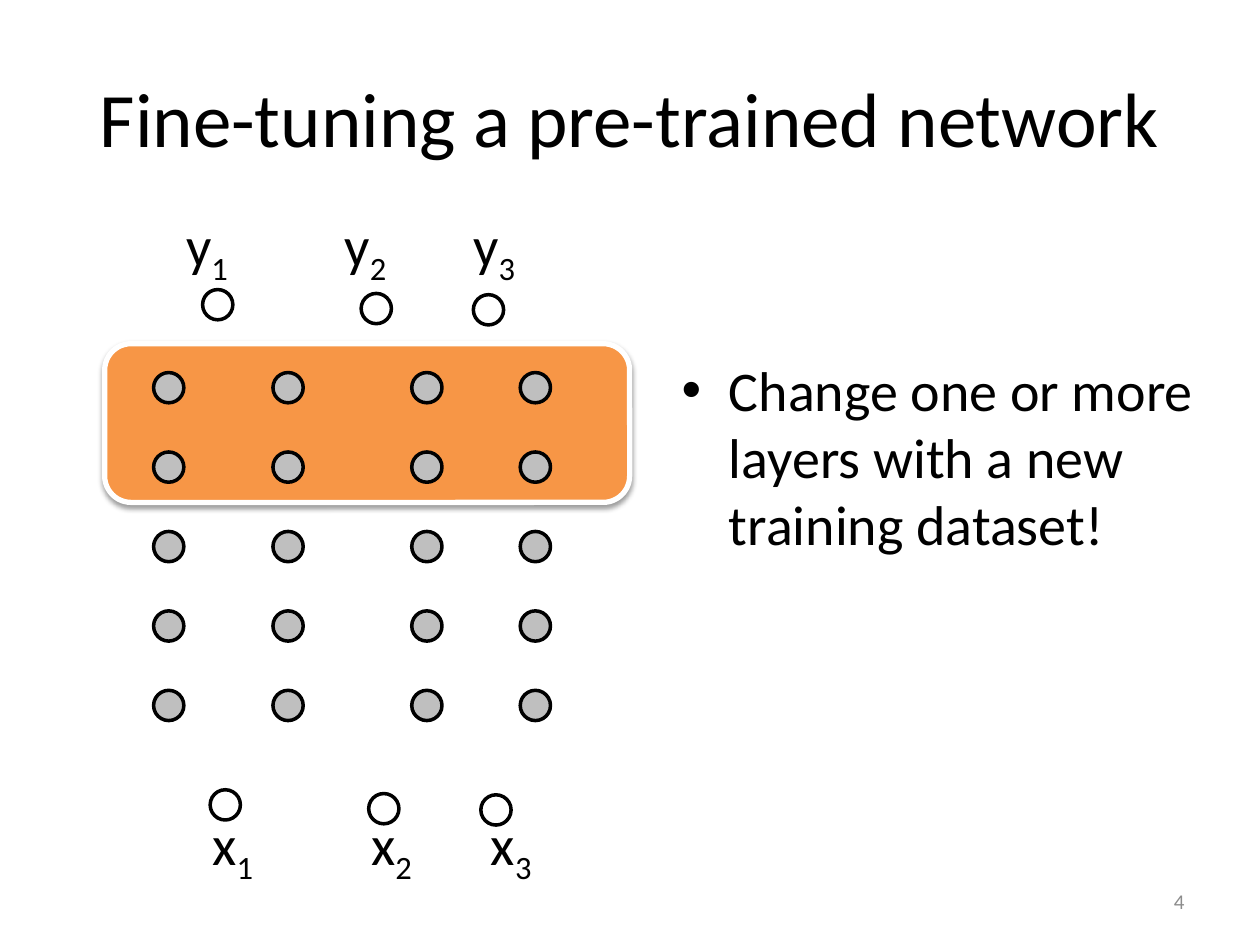
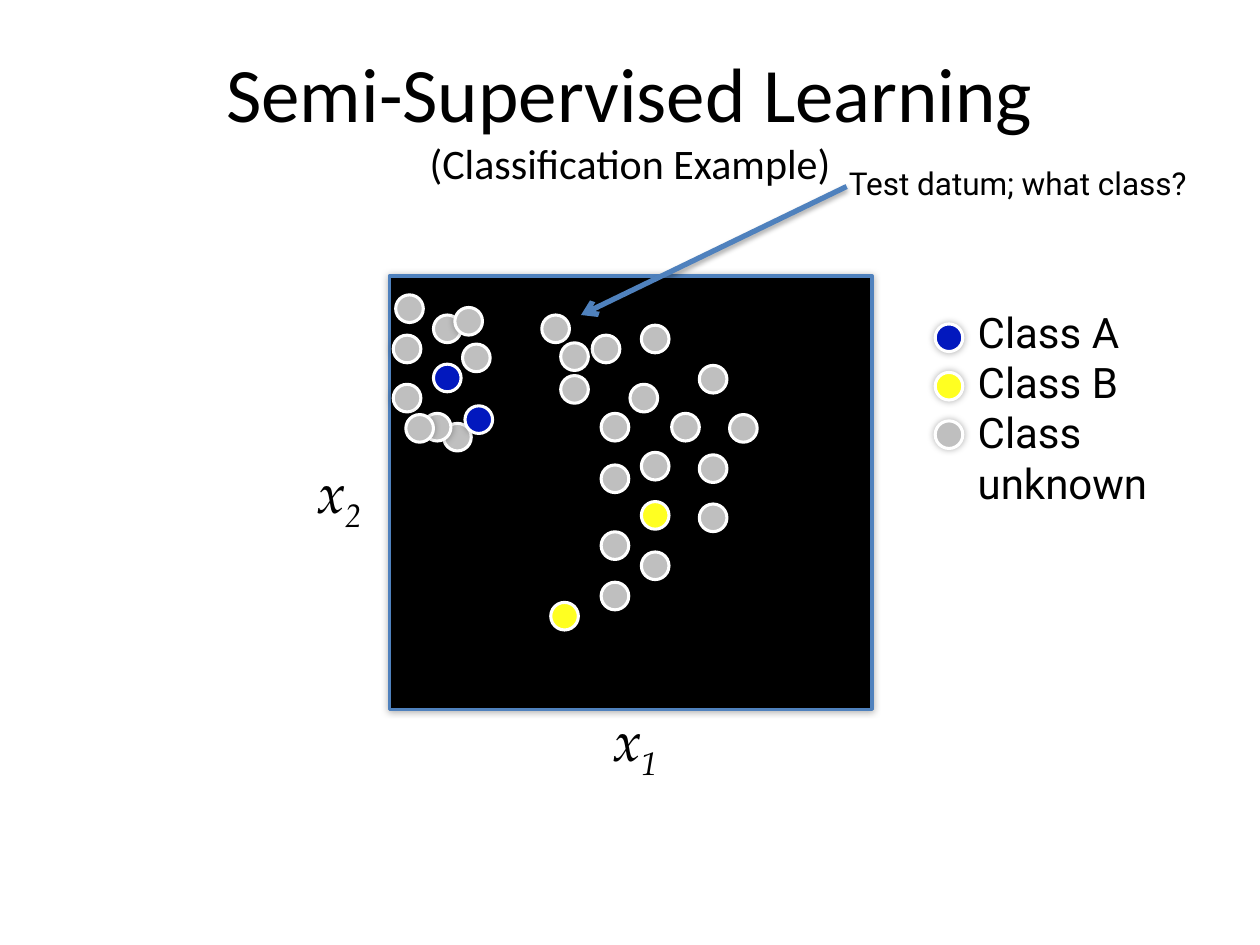
from lxml import etree
from pptx import Presentation
from pptx.dml.color import RGBColor
from pptx.enum.shapes import MSO_CONNECTOR, MSO_SHAPE
from pptx.enum.text import MSO_ANCHOR, PP_ALIGN
from pptx.oxml.ns import qn
from pptx.util import Pt

OVAL = MSO_SHAPE.OVAL
RECT = MSO_SHAPE.RECTANGLE
ROUND = MSO_SHAPE.ROUNDED_RECTANGLE
LINE = MSO_CONNECTOR.STRAIGHT
MIDDLE = MSO_ANCHOR.MIDDLE
LEFT = PP_ALIGN.LEFT
CENTER = PP_ALIGN.CENTER
RIGHT = PP_ALIGN.RIGHT

HUES = {
    "ink": "000000",
    "paper": "FFFFFF",
    "orange": "F79646",
    "blue": "4F81BD",
    "gray": "BFBFBF",
    "navy": "0218BE",
    "yellow": "FFFF21",
    "muted": "8C8C8C",
}

FONTS = {
    "title": {"name": "Calibri", "size": Pt(44)},
    "sub": {"name": "Calibri", "size": Pt(24)},
    "body": {"name": "Calibri", "size": Pt(32)},
    "page": {"name": "Calibri", "size": Pt(12)},
    "axis": {"name": "TeX Gyre Pagella", "size": Pt(32), "italic": True},
    "note": {"name": "Roboto", "size": Pt(18)},
    "key": {"name": "Roboto", "size": Pt(24)},
}

PANEL = {"alpha": 38, "blur": 3.1, "dist": 1.6, "angle": 90}
GLOW = {"alpha": 29, "blur": 4, "dist": 0, "angle": 45}
ARROW = {"alpha": 35, "blur": 3.1, "dist": 1.8, "angle": 90}

NODE = 17.3
DOT = 15.8


def color(hue):
    return RGBColor.from_string(HUES[hue])


def style(font, kind, hue="ink"):
    for key, value in FONTS[kind].items():
        setattr(font, key, value)
    font.color.rgb = color(hue)


def place(shape, box):
    for key, value in zip(("left", "top", "width", "height"), box):
        setattr(shape, key, Pt(value))


def shade(shape, cast):
    props = shape._element.spPr
    effect = props.find(qn("a:effectLst"))
    if effect is None:
        effect = etree.SubElement(props, qn("a:effectLst"))
    if cast:
        outer = etree.SubElement(
            effect, qn("a:outerShdw"),
            blurRad=str(Pt(cast["blur"])), dist=str(Pt(cast["dist"])),
            dir=str(cast["angle"] * 60000), rotWithShape="0")
        tone = etree.SubElement(outer, qn("a:srgbClr"), val=HUES["ink"])
        etree.SubElement(tone, qn("a:alpha"), val=str(cast["alpha"] * 1000))


def draw(slide, kind, box, fill, edge, weight, cast=None):
    shape = slide.shapes.add_shape(kind, *map(Pt, box))
    shape.shadow.inherit = False
    shape.fill.solid()
    shape.fill.fore_color.rgb = color(fill)
    shape.line.color.rgb = color(edge)
    shape.line.width = Pt(weight)
    shade(shape, cast)


def write(slide, box, lines, kind, hue="ink", align=LEFT):
    frame = slide.shapes.add_textbox(*map(Pt, box)).text_frame
    frame.word_wrap = True
    for i, line in enumerate(lines):
        para = frame.add_paragraph() if i else frame.paragraphs[0]
        para.alignment = align
        run = para.add_run()
        run.text = line
        style(run.font, kind, hue)
    return frame


def label(slide, x, y, name, index, kind):
    frame = write(slide, (x, y, 62, 46), [name], kind)
    run = frame.paragraphs[0].add_run()
    run.text = str(index)
    style(run.font, kind)
    run.font._element.set("baseline", "-25000")


def head(slide, text, sub=None):
    title = slide.shapes.title
    place(title, (36, 21.6, 648, 90))
    frame = title.text_frame
    frame.vertical_anchor = MIDDLE
    para = frame.paragraphs[0]
    para.alignment = CENTER
    run = para.add_run()
    run.text = text
    style(run.font, "title")
    if sub:
        para.add_line_break()
        run = para.add_run()
        run.text = sub
        style(run.font, "sub")


def bullet(slide, box, text):
    body = slide.placeholders[1]
    place(body, box)
    para = body.text_frame.paragraphs[0]
    para.space_before = Pt(0)
    run = para.add_run()
    run.text = text
    style(run.font, "body")


def number(slide, box, text):
    frame = write(slide, box, [text], "page", "muted", RIGHT)
    frame.vertical_anchor = MIDDLE


def network(slide, box):
    left, top, width, _ = box
    draw(slide, ROUND, (left, top + 79.5, width, 90.7),
         "orange", "paper", 3, PANEL)
    for row in range(5):
        for x in (28, 96.2, 175.5, 237.5):
            draw(slide, OVAL, (left + x, top + 96 + 45.4 * row, NODE, NODE),
                 "gray", "ink", 2)
    ends = (
        ("y", 0, 0, 0, (39.4, 130, 203.5)),
        ("x", 4.3, 285.8, 342.4, (54.5, 145.2, 213.6)),
    )
    spots = ((56, 48.6), (146.6, 50.8), (210.7, 51.5))
    for name, dx, dy, drop, marks in ends:
        for i, ((x, y), mark) in enumerate(zip(spots, marks), 1):
            draw(slide, OVAL, (left + x + dx, top + y + dy, NODE, NODE),
                 "paper", "ink", 2)
            label(slide, left + mark, top + drop, name, i, "body")


def scatter(slide, box):
    left, top, _, _ = box
    draw(slide, RECT, box, "ink", "blue", 2, GLOW)
    groups = {
        "gray": (
            (31, 84.2), (87.1, 22.3), (121, 146.2), (144, 157.7),
            (121, 175), (121, 108), (121, 78.5), (144, 100.8),
            (161.3, 78.5), (137.5, 61.9), (97.9, 56.9), (115.9, 33.8),
            (144, 28.1), (177.1, 51.1), (194.4, 79.2), (177.1, 102.2),
            (177.1, 130.3), (19.4, 78.5), (25.2, 22.3), (2.2, 33.8),
            (2.2, 61.9), (9.4, 79.2), (41.8, 38.9), (37.4, 18),
            (3.6, 10.8), (97.9, 38.2),
        ),
        "navy": ((25.2, 50.4), (43.2, 74.2)),
        "yellow": ((92.2, 186.5), (144, 128.9)),
    }
    for hue, spots in groups.items():
        for x, y in spots:
            draw(slide, OVAL, (left + x, top + y, DOT, DOT),
                 hue, "paper", 1.75, GLOW)
    label(slide, left + 121, top + 242, "x", 1, "axis")
    label(slide, left - 48.3, top + 100, "x", 2, "axis")


def legend(slide, box):
    left, top, width, height = box
    for i, hue in enumerate(("navy", "yellow", "gray")):
        draw(slide, OVAL, (left, top + 13.7 + 27.7 * i, DOT, DOT),
             hue, "paper", 1.75, GLOW)
    write(slide, (left + 17.2, top, width - 17.2, height),
          ["Class A", "Class B", "Class unknown"], "key")


def callout(slide, box, text, tip):
    left, top, _, _ = box
    start = (left + 5.8, top + 16.6)
    arrow = slide.shapes.add_connector(LINE, *map(Pt, start + tip))
    arrow.line.color.rgb = color("blue")
    arrow.line.width = Pt(3)
    etree.SubElement(arrow.line._get_or_add_ln(), qn("a:tailEnd"), type="arrow")
    shade(arrow, ARROW)
    write(slide, box, [text], "note")


def tuning(deck):
    slide = deck.slides.add_slide(deck.slide_layouts[1])
    head(slide, "Fine-tuning a pre-trained network")
    network(slide, (59.8, 116.9, 300, 394))
    bullet(slide, (382.3, 199.4, 332, 291.6),
           "Change one or more layers with a new training dataset!")
    number(slide, (516.2, 500.4, 167.8, 28.8), "4")


def learning(deck):
    slide = deck.slides.add_slide(deck.slide_layouts[5])
    head(slide, "Semi-Supervised Learning", "(Classification Example)")
    scatter(slide, (222.5, 157.7, 275.8, 247.7))
    callout(slide, (478, 90, 220, 28.8), "Test datum; what class?", (332, 180))
    legend(slide, (534.4, 171.4, 180, 123.8))


def main():
    deck = Presentation()
    deck.slide_width = Pt(720)
    deck.slide_height = Pt(540)
    tuning(deck)
    learning(deck)
    deck.save("out.pptx")


if __name__ == "__main__":
    main()
